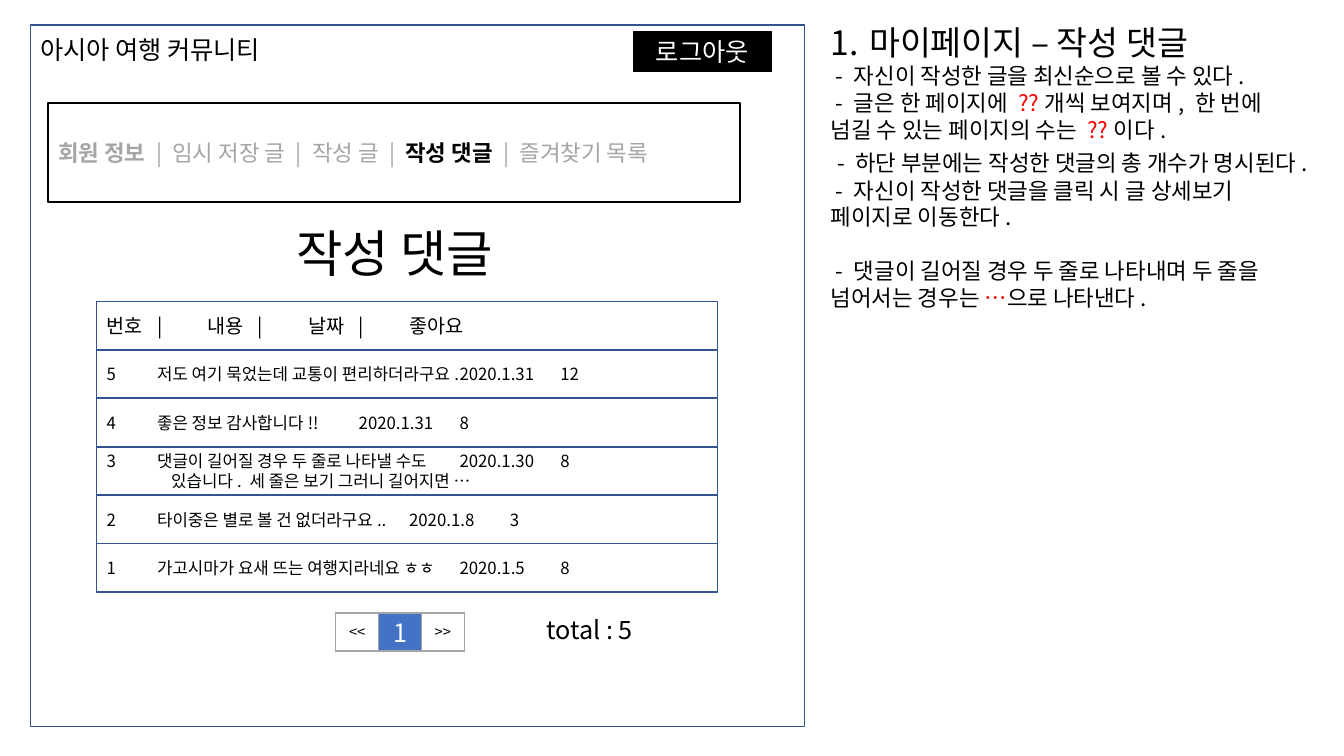
from lxml.etree import SubElement
from pptx import Presentation
from pptx.dml.color import RGBColor
from pptx.enum.shapes import MSO_SHAPE
from pptx.enum.text import MSO_ANCHOR, MSO_AUTO_SIZE, PP_ALIGN
from pptx.oxml.ns import qn
from pptx.util import Emu, Inches, Pt

FACE = "Noto Sans CJK KR"
HEX = {"ink": "000000", "paper": "FFFFFF", "edge": "325491",
       "gray": "A5A5A5", "blue": "4472C4", "red": "FF0000"}

# Runs are (text, changed format values); tabs lead to the stops of each row.
NOTES = [
    {"runs": [("마이페이지 – 작성 댓글", {})], "size": 24, "num": True},
    {"runs": [(" - 자신이 작성한 글을 최신순으로 볼 수 있다.", {})]},
    {"runs": [(" - 글은 한 페이지에 ", {}), ("??", {"hue": "red"}),
              ("개씩 보여지며, 한 번에 넘길 수 있는 페이지의 수는 ", {}),
              ("??", {"hue": "red"}), ("이다.", {})]},
    {"runs": [(" ", {"size": 20}),
              ("- 하단 부분에는 작성한 댓글의 총 개수가 명시된다.", {})], "lead": 24},
    {"runs": [(" - 자신이 작성한 댓글을 클릭 시 글 상세보기 페이지로 이동한다.", {})]},
    {"runs": [(" - 댓글이 길어질 경우 두 줄로 나타내며 두 줄을 넘어서는 경우는 ", {}),
              ("…", {"hue": "red"}), ("으로 나타낸다.", {})], "before": 19.2},
]
MENU = [("회원 정보 ", {"bold": True}), ("| 임시 저장 글 | 작성 글 | ", {}),
        ("작성 댓글", {"hue": "ink", "bold": True}), (" | 즐겨찾기 목록", {})]
HEAD = ("번호\t|\t내용\t|\t날짜\t|\t좋아요", [0.55, 1.53, 3.2, 3.46, 4.09, 4.32])
ROWS = [
    ("5\t저도 여기 묵었는데 교통이 편리하더라구요.\t2020.1.31\t12", [0.5, 3.6, 4.68]),
    ("4\t좋은 정보 감사합니다!!\t2020.1.31\t8", [0.5, 4.03, 5.14]),
    ("3\t댓글이 길어질 경우 두 줄로 나타낼 수도\t2020.1.30\t8", [0.5, 4.08, 5.19]),
    ("2\t타이중은 별로 볼 건 없더라구요..\t2020.1.8\t3", [0.5, 3.03, 4.11]),
    ("1\t가고시마가 요새 뜨는 여행지라네요 ㅎㅎ\t2020.1.5\t8", [0.5, 4.08, 5.15]),
]
MORE = {3: "있습니다. 세 줄은 보기 그러니 길어지면 …"}
PAGES = [("<<", 10.5, "ink", None), ("1", 18, "paper", "blue"), (">>", 10.5, "ink", None)]

LIST = (0.96, 2.99, 6.16, 0.485)  # left, top, width, row height
PAGER = (3.33, 6.08, 0.425, 0.38)


def color(name):
    return RGBColor.from_string(HEX[name])


def add_run(para, text, size, hue="ink", bold=False):
    run = para.add_run()
    run.text = text
    for key, val in {"name": FACE, "size": Pt(size), "bold": bold}.items():
        setattr(run.font, key, val)
    run.font.color.rgb = color(hue)
    SubElement(run._r.get_or_add_rPr(), qn("a:ea"), typeface=FACE)


def format_para(para, size, align, lead=None, before=0, num=False, stops=(), left=0):
    """Set spacing, then indent, numbering and tab stops."""
    values = {"alignment": align, "line_spacing": Pt(lead or size * 1.2),
              "space_before": Pt(before), "space_after": Pt(0)}
    for key, val in values.items():
        setattr(para, key, val)
    props = para._p.get_or_add_pPr()
    props.set("marL", str(Inches(0.38 if num else left)))
    props.set("indent", str(Inches(-0.38 if num else 0)))
    if num:
        SubElement(props, qn("a:buFont"), typeface=FACE)
        SubElement(props, qn("a:buAutoNum"), type="arabicPeriod")
    else:
        SubElement(props, qn("a:buNone"))
    if stops:
        tabs = SubElement(props, qn("a:tabLst"))
        for stop in stops:
            SubElement(tabs, qn("a:tab"), pos=str(Inches(stop)), algn="l")


def write(shape, paras, size, align=PP_ALIGN.LEFT, anchor=MSO_ANCHOR.TOP, hue="ink"):
    frame = shape.text_frame
    values = {"word_wrap": True, "auto_size": MSO_AUTO_SIZE.NONE,
              "vertical_anchor": anchor}
    for key, val in values.items():
        setattr(frame, key, val)
    for i, item in enumerate(paras):
        item = dict(item)
        runs, base = item.pop("runs"), item.pop("size", size)
        para = frame.add_paragraph() if i else frame.paragraphs[0]
        format_para(para, base, align, **item)
        for text, change in runs:
            add_run(para, text, **{"size": base, "hue": hue, **change})


def plain(text, **extra):
    return {"runs": [(text, {})], **extra}


def place(shape, *box):
    for key, val in zip(("left", "top", "width", "height"), box):
        setattr(shape, key, Inches(val))
    return shape


deck = Presentation()
deck.slide_width, deck.slide_height = Inches(13.33), Inches(7.5)
slide = deck.slides.add_slide(deck.slide_layouts[1])
title, notes = slide.placeholders


def add_box(box, fill=None, line="edge", width=1):
    shape = slide.shapes.add_shape(MSO_SHAPE.RECTANGLE, *map(Inches, box))
    shape.shadow.inherit = False
    if fill:
        shape.fill.solid()
        shape.fill.fore_color.rgb = color(fill)
    else:
        shape.fill.background()
    shape.line.color.rgb = color(line)
    shape.line.width = Pt(width)
    return shape


def add_label(text, box):
    label = slide.shapes.add_textbox(*map(Inches, box))
    write(label, [plain(text)], 18)


page = add_box((0.3, 0.25, 7.68, 6.96), "paper")
title.element.getparent().insert(2, page.element)  # behind the placeholders
write(place(title, 2.84, 2.15, 2.39, 0.71), [plain("작성 댓글")], 36)
write(place(notes, 8.14, 0.17, 4.84, 3.26), NOTES, 16)

add_label("아시아 여행 커뮤니티", (0.3, 0.29, 2.66, 0.4))
add_label("total : 5", (5.32, 6.05, 1.33, 0.4))
logout = add_box((6.28, 0.31, 1.37, 0.4), "ink", "ink", 0.75)
write(logout, [plain("로그아웃")], 18, PP_ALIGN.CENTER, hue="paper")
menu = add_box((0.48, 1.02, 6.86, 0.98), line="ink", width=1.5)
write(menu, [{"runs": MENU}], 16, anchor=MSO_ANCHOR.MIDDLE, hue="gray")

left, top, wide, high = LIST
for i, (text, stops) in enumerate([HEAD] + ROWS):
    row = add_box((left, top + i * (high - 0.005), wide, high))
    paras = [plain(text, stops=stops)]
    if i in MORE:
        paras.append(plain(MORE[i], left=0.64))
    write(row, paras, 12 if i else 14, anchor=MSO_ANCHOR.MIDDLE)

left, top, wide, high = PAGER
for i, (text, size, hue, fill) in enumerate(PAGES):
    cell = add_box((left + i * wide, top, wide, high), fill, "gray")
    write(cell, [plain(text)], size, PP_ALIGN.CENTER, MSO_ANCHOR.MIDDLE, hue)

deck.save("out.pptx")
